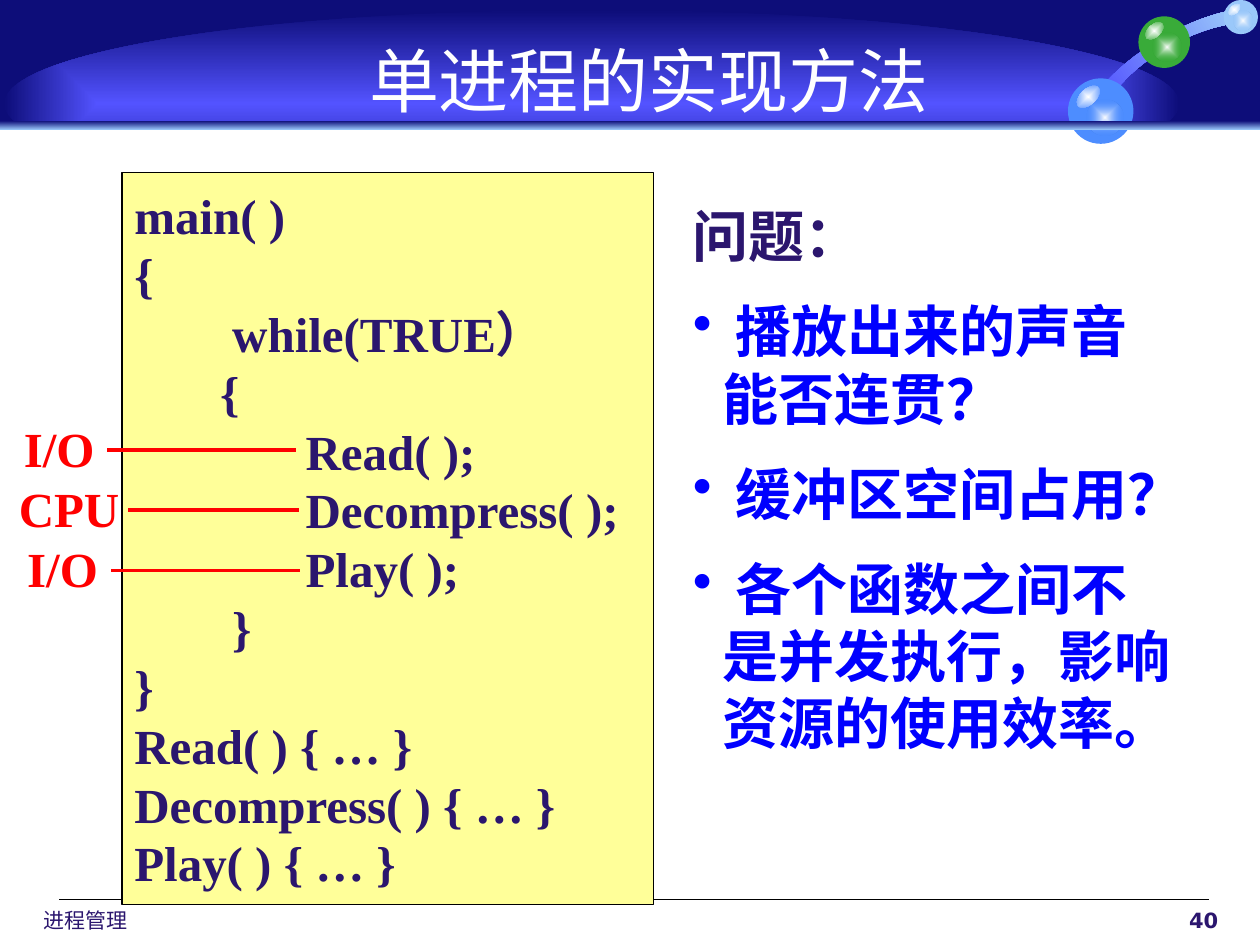
from lxml import etree
from pptx import Presentation
from pptx.dml.color import RGBColor
from pptx.enum.shapes import MSO_CONNECTOR, MSO_SHAPE
from pptx.enum.text import MSO_ANCHOR, PP_ALIGN
from pptx.oxml import parse_xml
from pptx.oxml.ns import qn
from pptx.util import Cm, Pt

RECT, OVAL = MSO_SHAPE.RECTANGLE, MSO_SHAPE.OVAL
STRAIGHT = MSO_CONNECTOR.STRAIGHT
TOP, MIDDLE = MSO_ANCHOR.TOP, MSO_ANCHOR.MIDDLE
LEFT, RIGHT = PP_ALIGN.LEFT, PP_ALIGN.RIGHT

NAVY = RGBColor(0x0D, 0x0D, 0x79)
VIOLET = RGBColor(0x53, 0x53, 0xFF)
SKY = RGBColor(0x9A, 0xC8, 0xFA)
AZURE = RGBColor(0x4D, 0x8D, 0xFF)
GREEN = RGBColor(0x39, 0xAB, 0x39)
INK = RGBColor(0x2B, 0x16, 0x6E)
BLUE = RGBColor(0x00, 0x00, 0xFF)
RED = RGBColor(0xFF, 0x00, 0x00)
YELLOW = RGBColor(0xFF, 0xFF, 0x99)
BLACK = RGBColor(0x00, 0x00, 0x00)
WHITE = RGBColor(0xFF, 0xFF, 0xFF)

SERIF, SANS, CJK = "Times New Roman", "DejaVu Sans", "Noto Sans CJK SC"
DRAWING_NS = "http://schemas.openxmlformats.org/drawingml/2006/main"

# Content
TITLE = "单进程的实现方法"
FOOTER, PAGE = "进程管理", "40"
CODE = [
    "main( )",
    "{",
    "        while(TRUE）",
    "       {",
    "              Read( );",
    "              Decompress( );",
    "              Play( );",
    "        }",
    "}",
    "Read( ) { … }",
    "Decompress( ) { … }",
    "Play( ) { … }",
]
HEADING = "问题："
QUESTIONS = [
    "播放出来的声音能否连贯？",
    "缓冲区空间占用？",
    "各个函数之间不是并发执行，影响资源的使用效率。",
]
# label, label left, label width, line start, line end (cm)
CALL_TYPES = [
    ("I/O", 0.23, 1.93, 2.16, 5.97),
    ("CPU", 0.13, 2.54, 2.59, 6.02),
    ("I/O", 0.3, 1.93, 2.24, 6.05),
]
CALL_TOP, CALL_PITCH, CALL_HEIGHT = 8.31, 1.21, 1.45
# left, top, diameter (cm), colour
BALLS = [
    (22.95, 0.33, 1.04, GREEN),
    (21.53, 1.58, 1.32, AZURE),
    (24.67, 0, 0.69, SKY),
]
# Ribbon behind the balls: start, then cubic curves or straight points (cm)
RIBBON_START = (24.69, 0.51)
RIBBON_PARTS = [
    [(24.31, 0.58), (23.88, 0.76), (23.47, 0.99)],
    [(23.06, 1.24), (22.71, 1.55), (22.48, 1.85)],
    [(22.1, 1.88)],
    [(22.4, 1.5), (22.83, 1.12), (23.37, 0.81)],
    [(23.88, 0.48), (24.43, 0.28), (24.89, 0.2)],
]

prs = Presentation()
prs.slide_width, prs.slide_height = Cm(25.4), Cm(19.05)
slide = prs.slides.add_slide(prs.slide_layouts[6])
shapes = slide.shapes


def paint_gradient(shape, start, end, angle=None, end_alpha=100):
    """Linear at an angle in degrees, or from the centre outwards without one."""
    if angle is None:
        course = ('<a:path path="shape"><a:fillToRect l="50000" t="50000" '
                  'r="50000" b="50000"/></a:path>')
    else:
        course = f'<a:lin ang="{round(angle * 60000)}" scaled="0"/>'
    fill = parse_xml(
        f'<a:gradFill xmlns:a="{DRAWING_NS}" rotWithShape="1"><a:gsLst>'
        f'<a:gs pos="0"><a:srgbClr val="{start}"/></a:gs>'
        f'<a:gs pos="100000"><a:srgbClr val="{end}">'
        f'<a:alpha val="{end_alpha * 1000}"/></a:srgbClr></a:gs>'
        f'</a:gsLst>{course}</a:gradFill>')
    shape.fill.solid()
    solid = shape.element.spPr.find(qn("a:solidFill"))
    solid.getparent().replace(solid, fill)


def add_block(kind, left, top, width, height, colour=None):
    block = shapes.add_shape(kind, Cm(left), Cm(top), Cm(width), Cm(height))
    block.shadow.inherit = False
    block.line.fill.background()
    if colour is not None:
        block.fill.solid()
        block.fill.fore_color.rgb = colour
    return block


def add_rule(x1, x2, y, colour, weight):
    rule = shapes.add_connector(STRAIGHT, Cm(x1), Cm(y), Cm(x2), Cm(y))
    rule.line.color.rgb, rule.line.width = colour, Pt(weight)
    etree.SubElement(rule.element.spPr, qn("a:effectLst"))


def add_run(paragraph, text, size, font, colour, bold=True):
    run = paragraph.add_run()
    run.text = text
    run.font.size, run.font.name, run.font.bold = Pt(size), font, bold
    run.font.color.rgb = colour
    east_asian = etree.SubElement(run.font._element, qn("a:ea"))
    east_asian.set("typeface", CJK)


def add_text(left, top, width, height, wrap=False):
    frame = shapes.add_textbox(Cm(left), Cm(top), Cm(width), Cm(height)).text_frame
    frame.word_wrap = wrap
    frame.vertical_anchor = TOP
    return frame


def cubic(p0, p1, p2, p3, steps=12):
    for i in range(1, steps + 1):
        t = i / steps
        u = 1 - t
        yield tuple(u**3 * a + 3 * u * u * t * b + 3 * u * t * t * c + t**3 * d
                    for a, b, c, d in zip(p0, p1, p2, p3))


# Header band with its glowing arch
add_block(RECT, 0, 0, 25.4, 2.54, NAVY)
paint_gradient(add_block(OVAL, 0.08, 0.2, 23.7, 3.78), VIOLET, NAVY)
add_block(RECT, 0, 2.51, 25.4, 14.88, WHITE)

# Ribbon, drawn in EMU because the builder rounds to whole units
outline = [RIBBON_START]
for part in RIBBON_PARTS:
    outline += cubic(outline[-1], *part) if len(part) == 3 else part
points = [(Cm(x), Cm(y)) for x, y in outline]
builder = shapes.build_freeform(*points[0])
builder.add_line_segments(points[1:], close=True)
ribbon = builder.convert_to_shape()
ribbon.shadow.inherit = False
ribbon.line.fill.background()
paint_gradient(ribbon, VIOLET, SKY, 328.8)

# Balls, each with a glow and a tilted shine
for x, y, d, colour in BALLS:
    add_block(OVAL, x, y, d, d, colour)
    glow = add_block(OVAL, x + 0.28 * d, y + 0.32 * d, 0.56 * d, 0.56 * d)
    paint_gradient(glow, WHITE, colour, end_alpha=0)
    shine = add_block(OVAL, x + 0.1 * d, y + 0.16 * d, 0.42 * d, 0.24 * d)
    shine.rotation = 317.2
    paint_gradient(shine, WHITE, colour)

paint_gradient(add_block(RECT, 0, 2.44, 25.4, 0.18), NAVY, SKY, 90)

# Footer
add_rule(1.19, 24.38, 18.13, BLACK, 0.75)
footer = add_text(0.36, 18.17, 6.99, 0.84, wrap=True)
footer.margin_left = Cm(0.52)
add_run(footer.paragraphs[0], FOOTER, 12, SANS, INK, bold=False)
page = add_text(16.76, 18.17, 8.05, 0.84, wrap=True).paragraphs[0]
page.alignment = RIGHT
add_run(page, PAGE, 12, SANS, INK)

# Code panel
panel = add_block(RECT, 2.46, 3.48, 10.72, 14.76, YELLOW)
panel.line.color.rgb, panel.line.width = BLACK, Pt(0.75)
code = panel.text_frame
code.word_wrap, code.vertical_anchor = False, MIDDLE
for i, line in enumerate(CODE):
    paragraph = code.add_paragraph() if i else code.paragraphs[0]
    paragraph.alignment = LEFT
    add_run(paragraph, line, 28, SERIF, INK)

# Title
title = add_text(7.19, 0.64, 12.14, 1.96)
add_run(title.paragraphs[0], TITLE, 40, SERIF, WHITE, bold=False)

# Questions
questions = add_text(13.72, 3.94, 10.26, 11.89, wrap=True)
add_run(questions.paragraphs[0], HEADING, 32, SERIF, INK)
for question in QUESTIONS:
    paragraph = questions.add_paragraph()
    paragraph.space_before = Pt(16)
    props = paragraph._p.get_or_add_pPr()
    props.set("marL", str(Cm(0.6)))
    props.set("indent", str(-Cm(0.6)))
    etree.SubElement(props, qn("a:buFontTx"))
    etree.SubElement(props, qn("a:buChar")).set("char", "•")
    add_run(paragraph, " ", 32, SERIF, BLUE)
    add_run(paragraph, question, 32, CJK, BLUE)

# Resource used by each call
for i, (label, left, width, start, end) in enumerate(CALL_TYPES):
    top = CALL_TOP + i * CALL_PITCH
    add_rule(start, end, top + 0.77, RED, 2.25)
    call = add_text(left, top, width, CALL_HEIGHT)
    add_run(call.paragraphs[0], label, 28, SERIF, RED)

prs.save("out.pptx")
